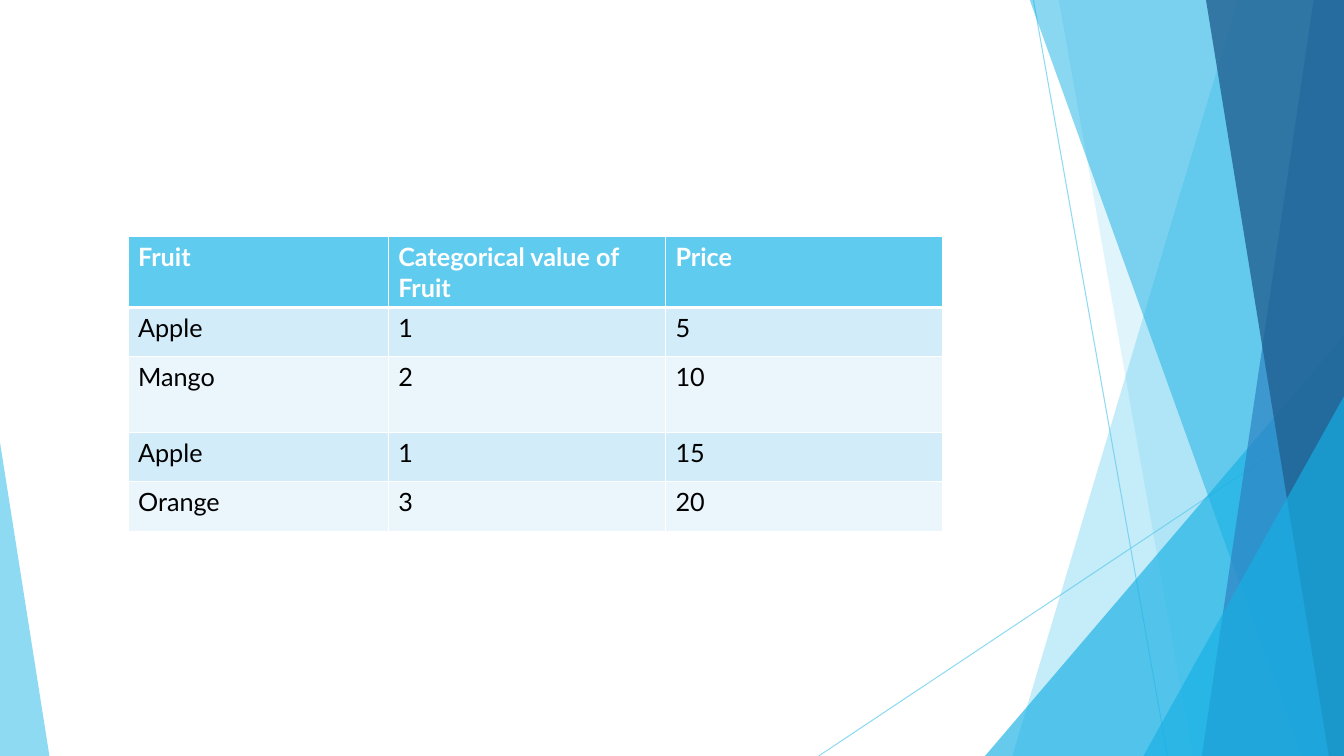
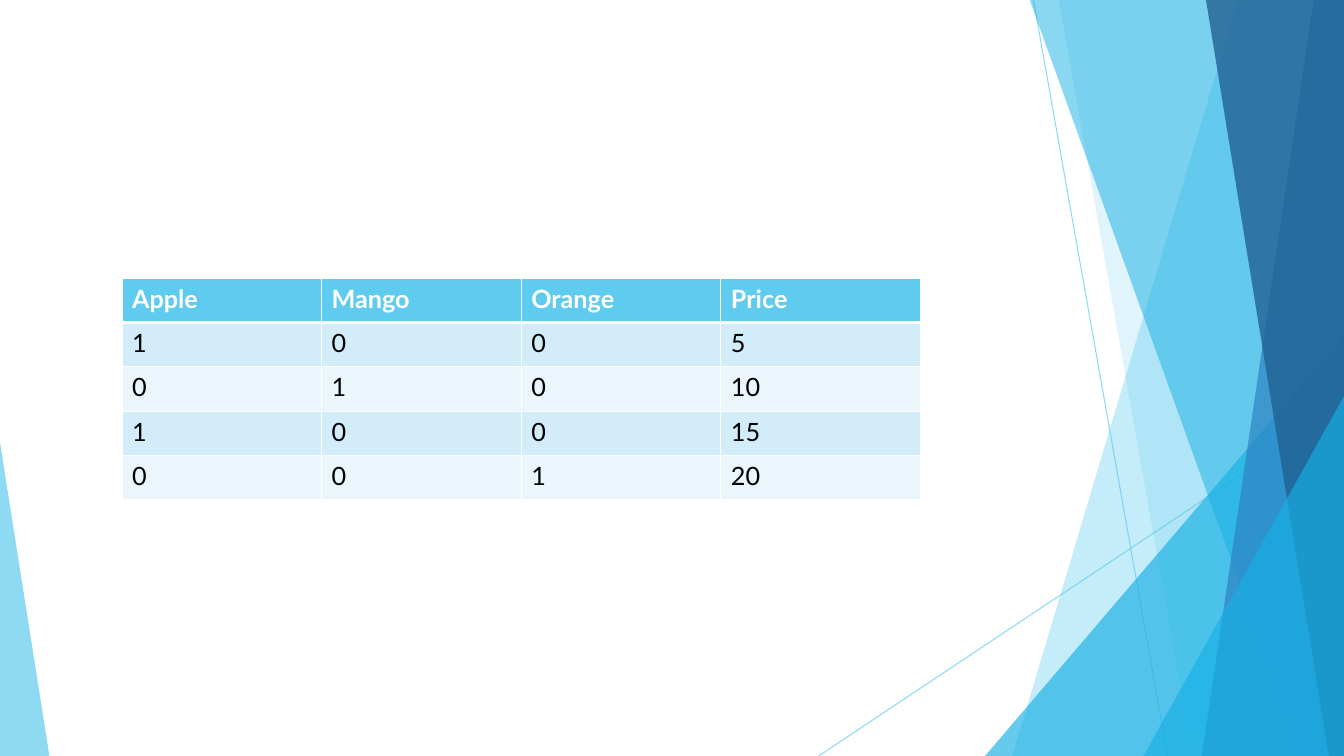
from lxml import etree
from pptx import Presentation
from pptx.dml.color import RGBColor
from pptx.enum.shapes import MSO_CONNECTOR, MSO_SHAPE
from pptx.oxml.ns import qn
from pptx.util import Inches, Pt

STRAIGHT = MSO_CONNECTOR.STRAIGHT
TRIANGLE = MSO_SHAPE.ISOSCELES_TRIANGLE
BLANK_LAYOUT = 6
FONT = "Lato"
COLORS = {
    "sky": "5FCBEF",
    "cyan": "17B0E4",
    "blue": "2E83C3",
    "navy": "226292",
    "band_dark": "D2ECF9",
    "band_light": "EAF6FC",
    "white": "FFFFFF",
    "black": "000000",
}
WIDTH, HEIGHT, TOP = 13.33, 7.5, -0.01


def paint(style, color, opacity):
    """Give a fill a solid colour with an opacity in percent."""
    style.solid()
    style.fore_color.rgb = RGBColor.from_string(COLORS[color])
    for solid in style._xPr.iter(qn("a:solidFill")):
        etree.SubElement(solid[0], qn("a:alpha"), val=str(opacity * 1000))


def add_border(cell, side, points):
    """Draw one white edge of a table cell."""
    edge = etree.SubElement(cell._tc.get_or_add_tcPr(), qn("a:ln" + side), w=str(Pt(points)))
    solid = etree.SubElement(edge, qn("a:solidFill"))
    etree.SubElement(solid, qn("a:srgbClr"), val=COLORS["white"])


deck = Presentation()
deck.slide_width = Inches(WIDTH)
deck.slide_height = Inches(HEIGHT)
layout = deck.slide_layouts[BLANK_LAYOUT]
for placeholder in list(layout.placeholders):
    layout.shapes.element.remove(placeholder.element)

# Decoration shared by all slides: drawn once, then moved to the layout
rays = [(10.25, 0, 11.58, HEIGHT), (WIDTH, 4.03, 8.12, HEIGHT)]
# Panels reach the right edge: left corner at top, left corner at bottom, colour, opacity
# Triangles stand on the bottom edge: left, top, width, apex position, colour, opacity
facets = [
    ("panel", 12.28, 10.04, "sky", 36),
    ("panel", 10.5, 11.83, "sky", 20),
    ("triangle", 9.77, 3.33, 3.56, 1, "cyan", 66),
    ("panel", 10.21, 12.91, "cyan", 50),
    ("panel", 13.03, 11.92, "blue", 70),
    ("panel", 11.96, 13.18, "navy", 80),
    ("triangle", 11.34, 3.93, 1.99, 1, "cyan", 66),
    ("triangle", 0, 4.39, 0.49, 0, "sky", 70),
]
first_page = deck.slides.add_slide(layout)
for ray in rays:
    line = first_page.shapes.add_connector(STRAIGHT, *[Inches(value) for value in ray])
    line.line.width = Pt(0.75)
    paint(line.line.fill, "sky", 70)
    etree.SubElement(line.element.spPr, qn("a:effectLst"))
for kind, *geometry, color, opacity in facets:
    if kind == "panel":
        upper, lower = geometry
        outline = first_page.shapes.build_freeform(Inches(upper), Inches(TOP))
        corners = [(WIDTH, TOP), (WIDTH, HEIGHT), (lower, HEIGHT)]
        outline.add_line_segments([(Inches(x), Inches(y)) for x, y in corners])
        facet = outline.convert_to_shape()
    else:
        left, top, width, apex = geometry
        facet = first_page.shapes.add_shape(
            TRIANGLE, Inches(left), Inches(top), Inches(width), Inches(HEIGHT - top))
        facet.adjustments[0] = apex
    facet.shadow.inherit = False
    facet.line.fill.background()
    paint(facet.fill, color, opacity)
for shape in list(first_page.shapes):
    layout.shapes.element.append(shape.element)

# One table per slide
tables = [
    {
        "at": (1.27, 2.35),
        "columns": [2.58, 2.75, 2.75],
        "rows": [0.69, 0.49, 0.75, 0.49, 0.49],
        "texts": [
            ["Fruit", "Categorical value of Fruit", "Price"],
            ["Apple", "1", "5"],
            ["Mango", "2", "10"],
            ["Apple", "1", "15"],
            ["Orange", "3", "20"],
        ],
    },
    {
        "at": (1.21, 2.76),
        "columns": [1.98] * 4,
        "rows": [0.44] * 5,
        "texts": [
            ["Apple", "Mango", "Orange", "Price"],
            ["1", "0", "0", "5"],
            ["0", "1", "0", "10"],
            ["1", "0", "0", "15"],
            ["0", "0", "1", "20"],
        ],
    },
]
pages = [first_page, deck.slides.add_slide(layout)]
for page, content in zip(pages, tables):
    left, top = content["at"]
    columns, rows = content["columns"], content["rows"]
    table = page.shapes.add_table(
        len(rows), len(columns), Inches(left), Inches(top),
        Inches(sum(columns)), Inches(sum(rows))).table
    for column, width in zip(table.columns, columns):
        column.width = Inches(width)
    for row, height in zip(table.rows, rows):
        row.height = Inches(height)
    for row_index, texts in enumerate(content["texts"]):
        header = row_index == 0
        band = "sky" if header else "band_dark" if row_index % 2 else "band_light"
        for column_index, text in enumerate(texts):
            cell = table.cell(row_index, column_index)
            add_border(cell, "L", 1)
            add_border(cell, "R", 1)
            add_border(cell, "T", 3 if row_index == 1 else 1)
            add_border(cell, "B", 3 if header else 1)
            cell.fill.solid()
            cell.fill.fore_color.rgb = RGBColor.from_string(COLORS[band])
            span = cell.text_frame.paragraphs[0].add_run()
            span.text = text
            span.font.name = FONT
            span.font.size = Pt(18)
            span.font.bold = header
            span.font.color.rgb = RGBColor.from_string(COLORS["white" if header else "black"])

deck.save("out.pptx")
